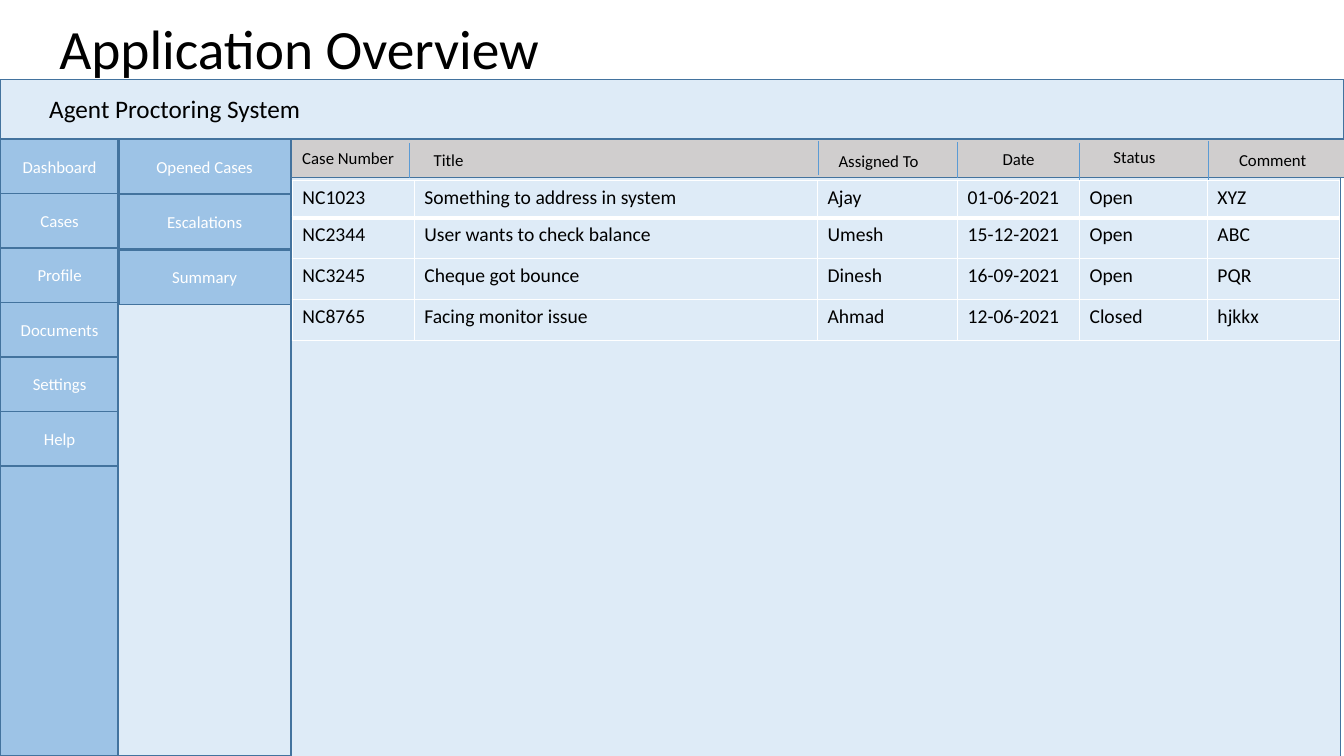
from lxml.etree import SubElement
from pptx import Presentation
from pptx.dml.color import RGBColor
from pptx.enum.shapes import MSO_CONNECTOR, MSO_SHAPE
from pptx.enum.text import MSO_ANCHOR, PP_ALIGN
from pptx.oxml.ns import qn
from pptx.util import Pt

BLACK = RGBColor(0x00, 0x00, 0x00)
WHITE = RGBColor(0xFF, 0xFF, 0xFF)
PALE = RGBColor(0xDE, 0xEB, 0xF7)
BLUE = RGBColor(0x9D, 0xC3, 0xE6)
GREY = RGBColor(0xD0, 0xCE, 0xCE)
EDGE = RGBColor(0x43, 0x73, 0x9E)
RULE = RGBColor(0x5B, 0x9B, 0xD5)

MENU = ["Dashboard", "Cases", "Profile", "Documents", "Settings", "Help"]
SUBMENU = ["Opened Cases", "Escalations", "Summary"]
# Label, then left, top and width inside the heading strip
HEADINGS = [
    ("Case Number", 0.8, 2.9, 82.8),
    ("Title", 82.9, 4.3, 59),
    ("Assigned To", 376, 5, 87.1),
    ("Date", 476, 3.6, 87.1),
    ("Status", 558.8, 2.2, 87.1),
    ("Comment", 657.5, 4.3, 87.1),
]
# Left, top and bottom inside the heading strip
SEPARATORS = [
    (84.3, 2.9, 27.4),
    (376.6, 1.4, 25.9),
    (476, 2.2, 27.4),
    (563.1, 2.9, 30.2),
    (655.3, 1.4, 30.2),
]
CASES = [
    ("NC1023", "Something to address in system", "Ajay", "01-06-2021", "Open", "XYZ"),
    ("NC2344", "User wants to check balance", "Umesh", "15-12-2021", "Open", "ABC"),
    ("NC3245", "Cheque got bounce", "Dinesh", "16-09-2021", "Open", "PQR"),
    ("NC8765", "Facing monitor issue", "Ahmad", "12-06-2021", "Closed", "hjkkx"),
]
COL_WIDTHS = [87.1, 288, 100.1, 87.1, 91.4, 94.3]
ROW_HEIGHTS = [26.6, 29.2, 29.2, 29.2]


def write(tf, text, size, color, align=PP_ALIGN.LEFT):
    p = tf.paragraphs[0]
    p.alignment = align
    r = p.add_run()
    r.text = text
    for name, value in {"name": "Calibri", "size": Pt(size)}.items():
        setattr(r.font, name, value)
    r.font.color.rgb = color
    return p


def add_label(s, box, text, size, align=PP_ALIGN.LEFT, anchor=MSO_ANCHOR.TOP):
    tf = s.shapes.add_textbox(*map(Pt, box)).text_frame
    for name, value in {"word_wrap": True, "vertical_anchor": anchor}.items():
        setattr(tf, name, value)
    return write(tf, text, size, BLACK, align)


def add_panel(s, box, fill, text=None):
    sp = s.shapes.add_shape(MSO_SHAPE.RECTANGLE, *map(Pt, box))
    sp.shadow.inherit = False
    sp.fill.solid()
    sp.fill.fore_color.rgb = fill
    sp.line.color.rgb = EDGE
    sp.line.width = Pt(1)
    if text:
        sp.text_frame.vertical_anchor = MSO_ANCHOR.MIDDLE
        write(sp.text_frame, text, 12, WHITE, PP_ALIGN.CENTER)


def add_title(s, box):
    p = add_label(s, box, "Application Overview", 39.6, anchor=MSO_ANCHOR.MIDDLE)
    p.line_spacing = 0.9


def add_banner(s, box):
    x, y, w, h = box
    add_panel(s, box, PALE)
    add_label(s, (x + 28.1, y + 6.4, 359.3, 28.8), "Agent Proctoring System", 18)


def add_menu(s, box, fill, items, inset, width, pitch):
    x, y, w, h = box
    add_panel(s, box, fill)
    for i, item in enumerate(items):
        add_panel(s, (x + inset, y + i * pitch, width, 38.9), BLUE, item)


def add_headings(s, box):
    x, y, w, h = box
    add_panel(s, box, GREY)
    for text, dx, dy, width in HEADINGS:
        align = PP_ALIGN.LEFT if text == "Case Number" else PP_ALIGN.CENTER
        add_label(s, (x + dx, y + dy, width, 21.6), text, 12, align)
    for dx, top, bottom in SEPARATORS:
        ends = (x + dx, y + top, x + dx, y + bottom)
        line = s.shapes.add_connector(MSO_CONNECTOR.STRAIGHT, *map(Pt, ends))
        line.line.color.rgb = RULE
        line.line.width = Pt(0.5)
        SubElement(line._element.spPr, qn("a:effectLst"))


def set_borders(cell, widths):
    tcPr = cell._tc.get_or_add_tcPr()
    for side, width in widths.items():
        ln = SubElement(tcPr, qn("a:ln" + side), w=str(Pt(width)))
        fill = SubElement(ln, qn("a:solidFill"))
        SubElement(fill, qn("a:srgbClr"), val=str(WHITE))


def add_cases(s, box):
    shape = s.shapes.add_table(len(CASES), len(COL_WIDTHS), *map(Pt, box))
    table = shape.table
    for name in ("first_row", "horz_banding"):
        setattr(table, name, False)
    for column, width in zip(table.columns, COL_WIDTHS):
        column.width = Pt(width)
    for i, (row, height) in enumerate(zip(table.rows, ROW_HEIGHTS)):
        row.height = Pt(height)
        for cell, text in zip(row.cells, CASES[i]):
            # A thicker rule divides the first case from the rest
            top, bottom = 3 if i == 1 else 1, 3 if i == 0 else 1
            set_borders(cell, {"L": 1, "R": 1, "T": top, "B": bottom})
            cell.fill.solid()
            cell.fill.fore_color.rgb = PALE
            write(cell.text_frame, text, 14, BLACK)


def main():
    prs = Presentation()
    prs.slide_width, prs.slide_height = Pt(960), Pt(540)
    s = prs.slides.add_slide(prs.slide_layouts[6])

    # Title and application window
    add_title(s, (35.3, 17.3, 828, 38.9))
    add_panel(s, (0, 57.6, 957.6, 483.8), PALE)
    add_banner(s, (0, 57, 960, 42.4))

    # Main menu and its submenu
    add_menu(s, (0, 99.4, 85, 440.6), BLUE, MENU, 0.5, 84.2, 38.9)
    add_menu(s, (84.2, 99.4, 123.8, 440.6), PALE, SUBMENU, 0.8, 122.4, 39.6)

    # Case list
    add_headings(s, (208, 99.4, 752.4, 27.4))
    add_cases(s, (208.8, 128.9, sum(COL_WIDTHS), sum(ROW_HEIGHTS)))

    prs.save("out.pptx")


if __name__ == "__main__":
    main()
